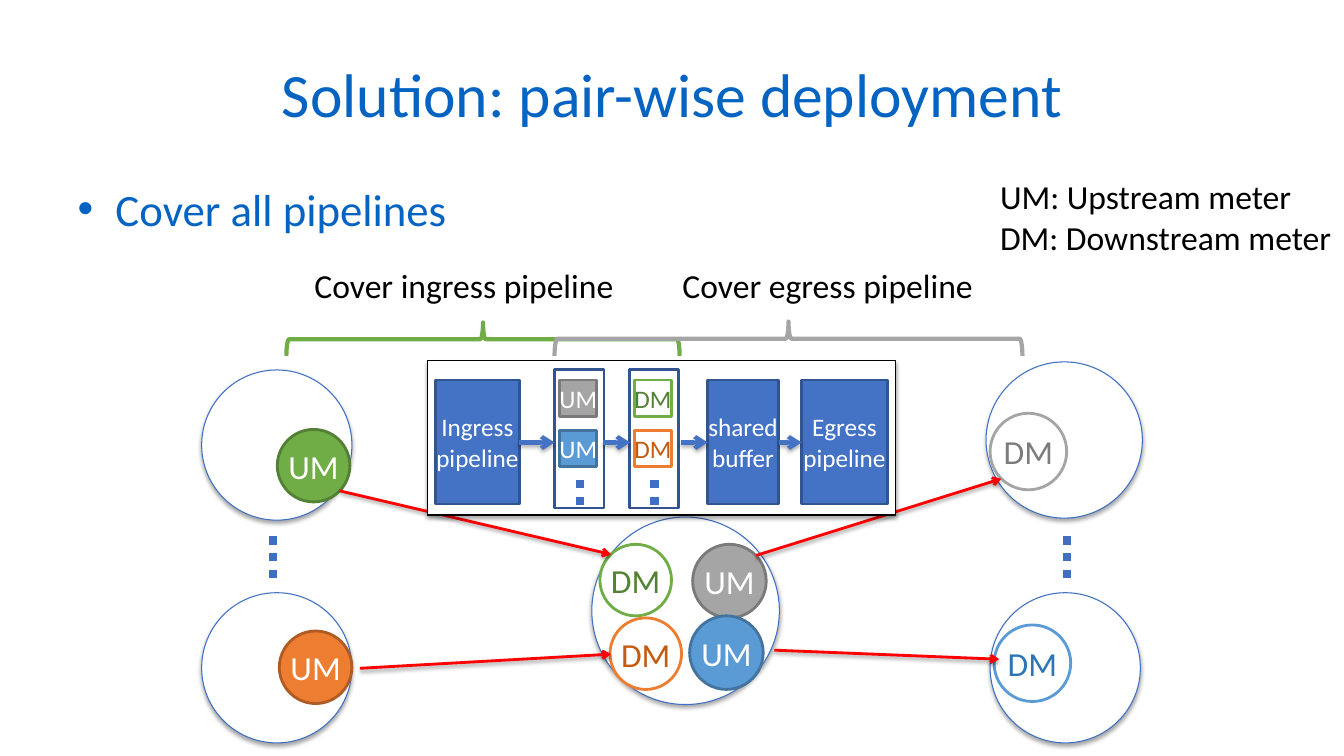
from pptx import Presentation
from pptx.dml.color import RGBColor
from pptx.enum.dml import MSO_LINE
from pptx.enum.shapes import MSO_CONNECTOR, MSO_SHAPE
from pptx.enum.text import MSO_ANCHOR, PP_ALIGN
from pptx.oxml import parse_xml
from pptx.oxml.ns import nsdecls
from pptx.util import Inches, Pt

OVAL, RECT, BRACE = MSO_SHAPE.OVAL, MSO_SHAPE.RECTANGLE, MSO_SHAPE.LEFT_BRACE
LINE, DOTS = MSO_CONNECTOR.STRAIGHT, MSO_LINE.ROUND_DOT
CENTER, MIDDLE, TOP = PP_ALIGN.CENTER, MSO_ANCHOR.MIDDLE, MSO_ANCHOR.TOP
FONT, TITLE, BLACK, WHITE = "Calibri", "0563C1", "000000", "FFFFFF"
BLUE, NAVY, RIM, RED = "4472C4", "325491", "3F6FC3", "FF0000"

# flow: main colour, edge of a filled meter, text of an open meter
FLOWS = {
    "green": ("70AD47", "538035", "548235"),
    "grey": ("A5A5A5", "7A7A7A", "7C7C7C"),
    "orange": ("ED7D31", "AF5C24", "C55A11"),
    "blue": ("5B9BD5", "43739E", "2E75B6"),
}
# left, top, diameter
NODES = [(5.87, 5.13, 1.86), (9.78, 3.59, 1.55), (2, 3.67, 1.49),
         (2, 5.88, 1.49), (9.82, 5.88, 1.49)]
METERS = [
    ("UM", "grey", 6.87, 5.4, 0.73), ("DM", "grey", 9.82, 4.1, 0.76),
    ("UM", "green", 2.75, 4.26, 0.72), ("DM", "green", 5.95, 5.4, 0.71),
    ("UM", "orange", 2.77, 6.26, 0.72), ("DM", "orange", 6.05, 6.13, 0.71),
    ("UM", "blue", 6.84, 6.11, 0.73), ("DM", "blue", 9.86, 6.2, 0.76),
]
LINKS = [(7.5, 5.51, 9.93, 4.75), (3.37, 4.87, 6.06, 5.5),
         (3.57, 6.63, 6.06, 6.49), (7.68, 6.45, 9.91, 6.54)]
GAPS = [2.71, 10.58]
# left, top, width, height, colour
BRACES = [(2.84, 3.2, 3.9, 0.33, "green"), (5.5, 3.19, 4.64, 0.34, "grey")]
NOTES = [
    ("Cover ingress pipeline", 3.02, 2.58, 3.2, 0.5),
    ("Cover egress pipeline", 6.67, 2.58, 3.11, 0.5),
    ("UM: Upstream meter\nDM: Downstream meter", 9.82, 1.7, 3.52, 0.91),
]
STAGES = [("Ingress pipeline", 4.32, 0.83), ("shared\nbuffer", 7.02, 0.7),
          ("Egress pipeline", 7.95, 0.85)]
QUEUES = [("UM", 5.5, ("grey", "blue")), ("DM", 6.24, ("green", "orange"))]
STEPS = [(5.15, 5.5), (5.98, 6.25), (6.75, 7.02), (7.73, 7.95)]
MID = 4.39


def rgb(color):
    return RGBColor.from_string(color)


def style(text, size, color):
    for para in text.paragraphs:
        for run in para.runs:
            run.font.name, run.font.size = FONT, Pt(size)
            run.font.color.rgb = rgb(color)


def shade(shape, alpha=35, dist=1.8):
    """Give a shape or connector a soft shadow below it."""
    props = shape.element.spPr
    for old in props.findall("{*}effectLst"):
        props.remove(old)
    props.append(parse_xml(
        f'<a:effectLst {nsdecls("a")}><a:outerShdw blurRad="{Pt(3.1)}" '
        f'dist="{Pt(dist)}" dir="5400000" rotWithShape="0">'
        f'<a:srgbClr val="000000"><a:alpha val="{alpha * 1000}"/></a:srgbClr>'
        '</a:outerShdw></a:effectLst>'))


def draw(group, kind, box, fill, edge, width):
    shape = group.add_shape(kind, *map(Inches, box))
    shape.shadow.inherit = False
    if fill:
        shape.fill.solid()
        shape.fill.fore_color.rgb = rgb(fill)
    else:
        shape.fill.background()
    shape.line.color.rgb, shape.line.width = rgb(edge), Pt(width)
    return shape


def label(shape, words, size, color):
    text = shape.text_frame
    text.text = words
    text.margin_left = text.margin_right = 0
    text.margin_top = text.margin_bottom = 0
    text.vertical_anchor = MIDDLE
    text.word_wrap = " " in words
    for para in text.paragraphs:
        para.alignment = CENTER
    style(text, size, color)


def meter(group, kind, words, flow, box, size):
    """Draw an upstream meter filled and a downstream meter open."""
    main, edge, dark = FLOWS[flow]
    if words == "UM":
        look = (main, edge, WHITE)
    else:
        look = (WHITE, main, dark)
    label(draw(group, kind, box, *look[:2], 2), words, size, look[2])


def join(group, ends, color, width):
    line = group.add_connector(LINE, *map(Inches, ends))
    line.line.color.rgb, line.line.width = rgb(color), Pt(width)
    return line


def arrow(group, ends, color, width, alpha, dist):
    line = join(group, ends, color, width)
    line.line.fill  # the outline is already present
    line.element.spPr.find("{*}ln").append(
        parse_xml(f'<a:tailEnd {nsdecls("a")} type="arrow"/>'))
    shade(line, alpha, dist)


def dots(group, x, top, end):
    line = join(group, (x, top, x, end), RIM, 6)
    line.line.dash_style = DOTS
    line.element.spPr.append(parse_xml(f'<a:effectLst {nsdecls("a")}/>'))


def place(holder, box, words, size):
    holder.left, holder.top, holder.width, holder.height = map(Inches, box)
    holder.text_frame.text = words
    style(holder.text_frame, size, TITLE)


deck = Presentation()
deck.slide_width, deck.slide_height = Inches(13.33), Inches(7.5)
slide = deck.slides.add_slide(deck.slide_layouts[1])
shapes = slide.shapes
title, body = slide.placeholders
place(title, (0.67, 0.3, 12, 1.25), "Solution: pair-wise deployment", 44)
title.text_frame.vertical_anchor = MIDDLE
place(body, (0.67, 1.75, 12, 4.95), "Cover all pipelines", 32)
body.text_frame.vertical_anchor = TOP

for x, y, size in NODES:
    shade(draw(shapes, OVAL, (x, y, size, size), WHITE, RIM, 0.75))
for words, flow, x, y, size in METERS:
    meter(shapes, OVAL, words, flow, (x, y, size, size), 24)
for ends in LINKS:
    arrow(shapes, ends, RED, 2, 38, 1.6)
for x in GAPS:
    dots(shapes, x, 5.32, 5.78)
for x, y, w, h, flow in BRACES:
    box = (x + (w - h) / 2, y + (h - w) / 2, h, w)
    draw(shapes, BRACE, box, None, FLOWS[flow][0], 3).rotation = 90
for words, *box in NOTES:
    text = shapes.add_textbox(*map(Inches, box)).text_frame
    text.text = words
    text.word_wrap = False
    style(text, 24, BLACK)

panel = shapes.add_group_shape().shapes
shade(draw(panel, RECT, (4.24, 3.58, 4.64, 1.53), WHITE, BLACK, 0.75))
for words, x, w in STAGES:
    label(draw(panel, RECT, (x, 3.77, w, 1.23), BLUE, NAVY, 2),
          words, 18, WHITE)
for words, x, flows in QUEUES:
    for row, flow in enumerate(flows):
        box = (x + 0.05, 3.77 + 0.5 * row, 0.37, 0.36)
        meter(panel, RECT, words, flow, box, 18)
    dots(panel, x + 0.25, 4.76, 5.02)
    draw(panel, RECT, (x, 3.67, 0.49, 1.37), None, NAVY, 2)
for start, end in STEPS:
    arrow(panel, (start, MID, end, MID), BLUE, 3, 35, 1.8)

deck.save("out.pptx")
